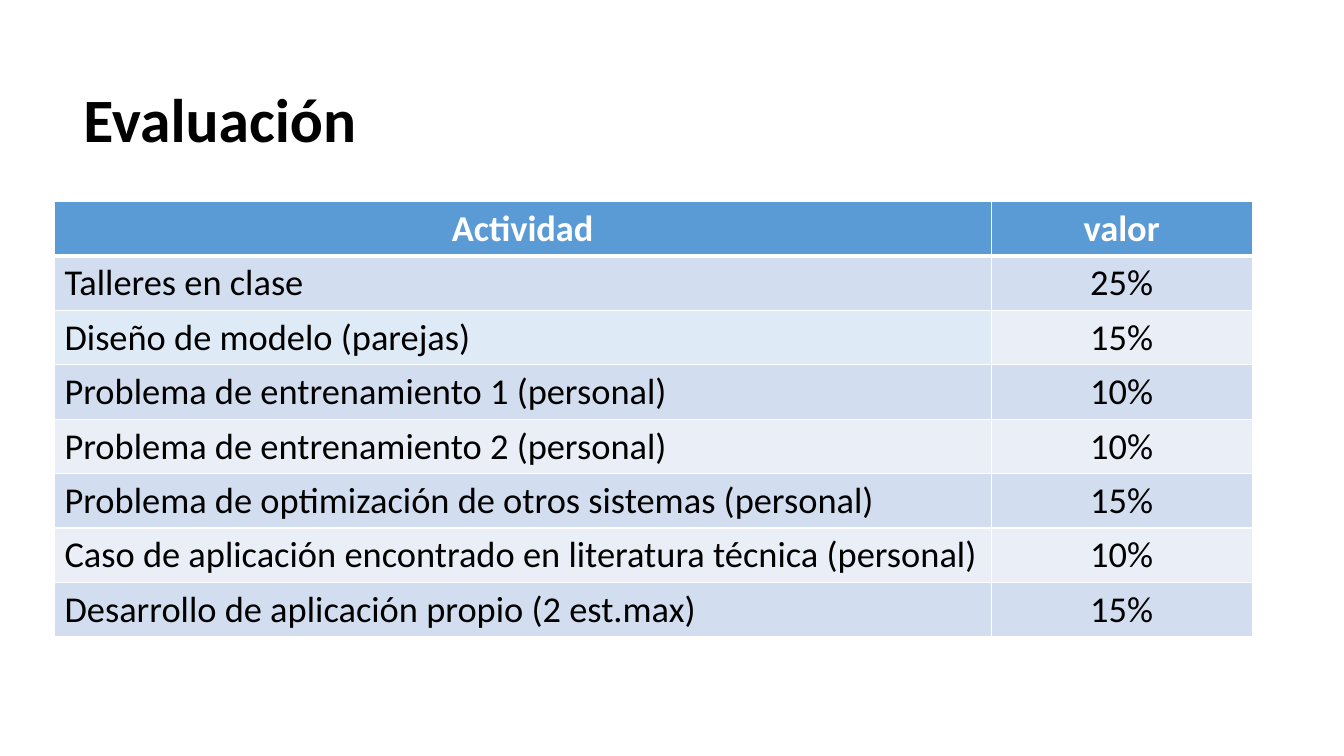
import pptx
import pptx.dml.color
import pptx.enum.text
import pptx.oxml
import pptx.oxml.ns
import pptx.util
from pptx.dml.color import RGBColor
from pptx.util import Inches

BLACK = RGBColor(0x00, 0x00, 0x00)
WHITE = RGBColor(0xFF, 0xFF, 0xFF)
HEADER_BLUE = RGBColor(0x5B, 0x9B, 0xD5)
BAND_DARK = RGBColor(0xD2, 0xDE, 0xEF)
BAND_LIGHT = RGBColor(0xEA, 0xEF, 0xF7)
HIGHLIGHT = RGBColor(0xDE, 0xEB, 0xF7)

FONT = "Calibri"
ACTIVITIES = [
    ("Actividad", "valor"),
    ("Talleres en clase", "25%"),
    ("Diseño de modelo (parejas)", "15%"),
    ("Problema de entrenamiento 1 (personal)", "10%"),
    ("Problema de entrenamiento 2 (personal)", "10%"),
    ("Problema de optimización de otros sistemas (personal)", "15%"),
    ("Caso de aplicación encontrado en literatura técnica (personal)", "10%"),
    ("Desarrollo de aplicación propio (2 est.max)", "15%"),
]
COLUMN_SHARES = (0.782, 0.218)


def style_paragraph(para, size, color, bold):
    para.font.name = FONT
    para.font.size = pptx.util.Pt(size)
    para.font.color.rgb = color
    para.font.bold = bold


def add_title(page, text, left, top, width, height):
    box = page.shapes.add_textbox(Inches(left), Inches(top), Inches(width), Inches(height))
    frame = box.text_frame
    frame.word_wrap = True
    frame.vertical_anchor = pptx.enum.text.MSO_ANCHOR.MIDDLE
    para = frame.paragraphs[0]
    para.text = text
    para.line_spacing = 0.9
    style_paragraph(para, 44, BLACK, True)


def set_borders(cell, widths):
    """Draw white borders; widths maps each side (L, R, T, B) to points."""
    properties = cell._tc.get_or_add_tcPr()
    for side, points in widths.items():
        properties.append(pptx.oxml.parse_xml(
            f'<a:ln{side} {pptx.oxml.ns.nsdecls("a")} w="{pptx.util.Pt(points)}">'
            f'<a:solidFill><a:srgbClr val="{WHITE}"/></a:solidFill></a:ln{side}>'))


def cell_fill(row, column):
    if row == 0:
        return HEADER_BLUE
    if (row, column) == (2, 0):
        return HIGHLIGHT
    return BAND_DARK if row % 2 else BAND_LIGHT


def add_grades_table(page, rows, left, top, width, height):
    table = page.shapes.add_table(len(rows), len(COLUMN_SHARES), Inches(left), Inches(top),
                                  Inches(width), Inches(height)).table
    for column, share in zip(table.columns, COLUMN_SHARES):
        column.width = Inches(width * share)
    for r, texts in enumerate(rows):
        is_header = r == 0
        for c, text in enumerate(texts):
            cell = table.cell(r, c)
            # Borders come before the fill in the cell properties.
            set_borders(cell, {"L": 1, "R": 1, "T": 3 if r == 1 else 1,
                               "B": 3 if is_header else 1})
            cell.fill.solid()
            cell.fill.fore_color.rgb = cell_fill(r, c)
            para = cell.text_frame.paragraphs[0]
            para.text = text
            if is_header or c == 1:
                para.alignment = pptx.enum.text.PP_ALIGN.CENTER
            style_paragraph(para, 26, WHITE if is_header else BLACK, is_header)


def main():
    deck = pptx.Presentation()
    deck.slide_width, deck.slide_height = Inches(13.33), Inches(7.5)
    page = deck.slides.add_slide(deck.slide_layouts[6])
    add_title(page, "Evaluación", 0.73, 0.49, 11.5, 1.45)
    add_grades_table(page, ACTIVITIES, 0.54, 2, 11.88, 4.32)
    deck.save("out.pptx")


if __name__ == "__main__":
    main()
